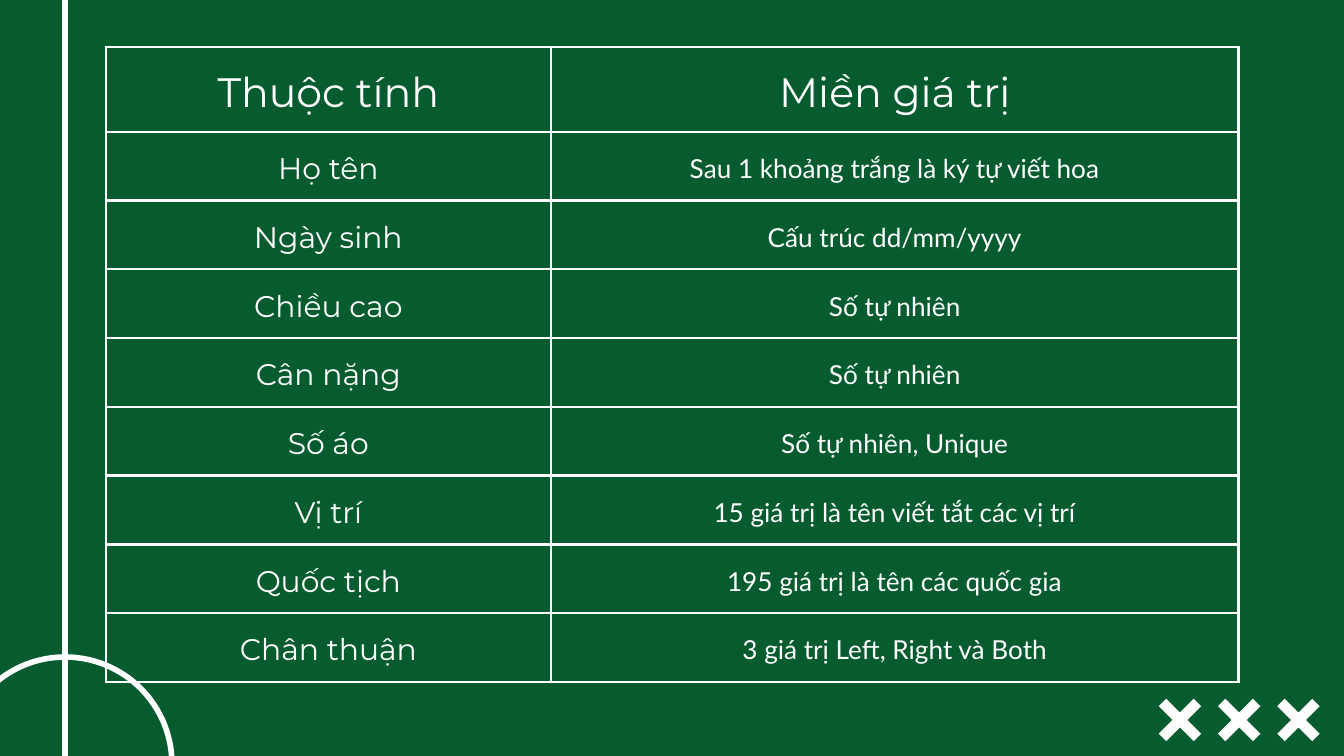
from dataclasses import dataclass

from lxml import etree
from pptx import Presentation
from pptx.dml.color import RGBColor
from pptx.enum import shapes, text
from pptx.oxml import ns
from pptx.slide import Slide
from pptx.util import Cm, Pt


@dataclass(frozen=True)
class Theme:
    pitch: RGBColor = RGBColor(0x07, 0x5C, 0x2F)
    chalk: RGBColor = RGBColor(0xFF, 0xFF, 0xFF)
    label_font: str = "Montserrat"
    domain_font: str = "Lato"
    heading_size: int = 22
    label_size: int = 16
    domain_size: int = 14
    marking_width: float = 3
    border_width: float = 1.5


@dataclass(frozen=True)
class Attribute:
    label: str
    domain: str


@dataclass(frozen=True)
class Cross:
    x: float
    y: float


THEME = Theme()
WIDTH, HEIGHT = 25.4, 14.29
MIDLINE_X = 1.23
CIRCLE_TOP, CIRCLE_SIZE = 12.42, 4.04
COLUMN_WIDTHS = (8.41, 13.0)
HEADING_HEIGHT, ROW_HEIGHT = 1.6, 1.3
CELL_MARGIN = 0.25

HEADING = Attribute("Thuộc tính", "Miền giá trị")
ATTRIBUTES = [
    Attribute("Họ tên", "Sau 1 khoảng trắng là ký tự viết hoa"),
    Attribute("Ngày sinh", "Cấu trúc dd/mm/yyyy"),
    Attribute("Chiều cao", "Số tự nhiên"),
    Attribute("Cân nặng", "Số tự nhiên"),
    Attribute("Số áo", "Số tự nhiên, Unique"),
    Attribute("Vị trí", "15 giá trị là tên viết tắt các vị trí"),
    Attribute("Quốc tịch", "195 giá trị là tên các quốc gia"),
    Attribute("Chân thuận", "3 giá trị Left, Right và Both"),
]
CROSSES = [Cross(24.54 - 1.12 * step, 13.61) for step in range(3)]
CROSS_OUTLINE = [
    (-0.4, 0.26), (-0.26, 0.4), (0, 0.14), (0.26, 0.4), (0.4, 0.26), (0.14, 0),
    (0.4, -0.26), (0.26, -0.4), (0, -0.14), (-0.26, -0.4), (-0.4, -0.26), (-0.14, 0),
]


def draw_cross(slide: Slide, cross: Cross) -> None:
    corners = [(Cm(cross.x + dx), Cm(cross.y + dy)) for dx, dy in CROSS_OUTLINE]
    outline = slide.shapes.build_freeform(*corners[0])
    outline.add_line_segments(corners[1:], close=True)
    mark = outline.convert_to_shape()
    mark.shadow.inherit = False
    mark.fill.solid()
    mark.fill.fore_color.rgb = THEME.chalk
    mark.line.fill.background()


def draw_pitch_markings(slide: Slide) -> None:
    circle = slide.shapes.add_shape(
        shapes.MSO_SHAPE.OVAL, Cm(MIDLINE_X - CIRCLE_SIZE / 2), Cm(CIRCLE_TOP),
        Cm(CIRCLE_SIZE), Cm(CIRCLE_SIZE))
    circle.shadow.inherit = False
    circle.fill.background()
    midline = slide.shapes.add_connector(
        shapes.MSO_CONNECTOR.STRAIGHT, Cm(MIDLINE_X), Cm(HEIGHT), Cm(MIDLINE_X), Cm(0))
    etree.SubElement(midline._element.spPr, ns.qn("a:effectLst"))
    for marking in (circle, midline):
        marking.line.color.rgb = THEME.chalk
        marking.line.width = Pt(THEME.marking_width)


def draw_borders(cell) -> None:
    properties = cell._tc.get_or_add_tcPr()
    for position, side in enumerate(("lnL", "lnR", "lnT", "lnB")):
        border = etree.Element(ns.qn(f"a:{side}"), w=str(Pt(THEME.border_width)))
        ink = etree.SubElement(border, ns.qn("a:solidFill"))
        etree.SubElement(ink, ns.qn("a:srgbClr"), val=str(THEME.chalk))
        properties.insert(position, border)


def write_cell(cell, words: str, font: str, size: int) -> None:
    cell.fill.background()
    draw_borders(cell)
    cell.vertical_anchor = text.MSO_ANCHOR.MIDDLE
    cell.margin_left = cell.margin_right = Cm(CELL_MARGIN)
    cell.margin_top = cell.margin_bottom = Cm(CELL_MARGIN)
    cell.text_frame.text = words
    paragraph = cell.text_frame.paragraphs[0]
    paragraph.alignment = text.PP_ALIGN.CENTER
    paragraph.line_spacing = 1.15
    face = paragraph.runs[0].font
    face.name = font
    face.size = Pt(size)
    face.bold = False
    face.color.rgb = THEME.chalk


def draw_attributes(slide: Slide) -> None:
    row_heights = [HEADING_HEIGHT] + [ROW_HEIGHT] * len(ATTRIBUTES)
    grid = slide.shapes.add_table(
        len(row_heights), len(COLUMN_WIDTHS), Cm(2), Cm(0.89),
        Cm(sum(COLUMN_WIDTHS)), Cm(sum(row_heights))).table
    grid.first_row = False
    grid.horz_banding = False
    for column, width in zip(grid.columns, COLUMN_WIDTHS):
        column.width = Cm(width)
    for row, height in zip(grid.rows, row_heights):
        row.height = Cm(height)
    write_cell(grid.cell(0, 0), HEADING.label, THEME.label_font, THEME.heading_size)
    write_cell(grid.cell(0, 1), HEADING.domain, THEME.label_font, THEME.heading_size)
    for index, attribute in enumerate(ATTRIBUTES, start=1):
        write_cell(grid.cell(index, 0), attribute.label, THEME.label_font, THEME.label_size)
        write_cell(grid.cell(index, 1), attribute.domain, THEME.domain_font, THEME.domain_size)


def main() -> None:
    deck = Presentation()
    deck.slide_width, deck.slide_height = Cm(WIDTH), Cm(HEIGHT)
    slide = deck.slides.add_slide(deck.slide_layouts[6])
    slide.background.fill.solid()
    slide.background.fill.fore_color.rgb = THEME.pitch
    for cross in CROSSES:
        draw_cross(slide, cross)
    draw_pitch_markings(slide)
    draw_attributes(slide)
    deck.save("out.pptx")


if __name__ == "__main__":
    main()
